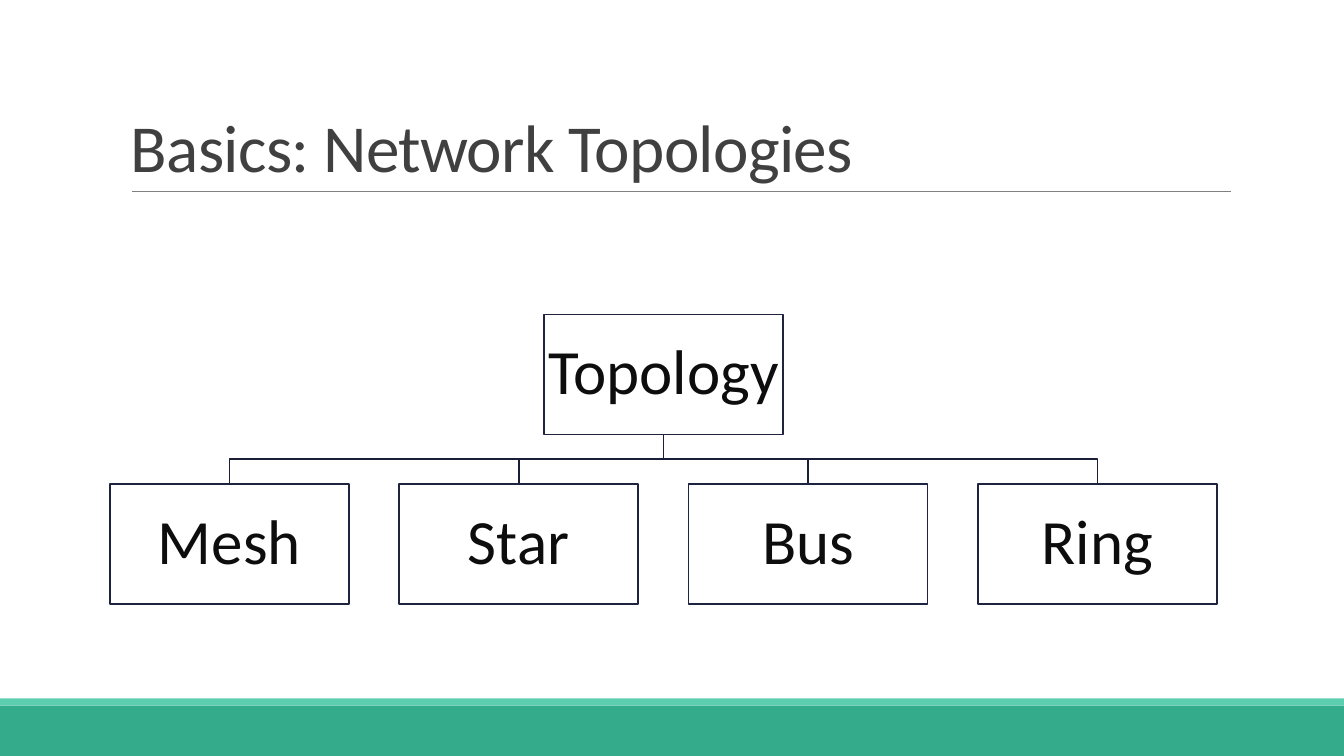
from pptx import Presentation
from pptx.dml.color import RGBColor
from pptx.enum.shapes import MSO_CONNECTOR, MSO_SHAPE
from pptx.enum.text import MSO_ANCHOR, PP_ALIGN
from pptx.util import Inches, Pt
from lxml.etree import SubElement
from pptx.oxml.ns import qn

TITLE = "Basics: Network Topologies"
ROOT = "Topology"
CHILDREN = ["Mesh", "Star", "Bus", "Ring"]

FONT = "Calibri"
COLORS = {
    "band": "34AC8B", "stripe": "5DCEAF", "rule": "808080", "title": "404040",
    "branch": "1A1F37", "border": "1E233F", "box": "FFFFFF", "label": "0D0D0D",
}
SLIDE_WIDTH, SLIDE_HEIGHT = 13.33, 7.5
BOX_WIDTH, BOX_HEIGHT = 2.37, 1.19
CHILD_LEFT, CHILD_PITCH = 1.09, 2.87
ROOT_TOP, CHILD_TOP = 3.12, 4.8


def color(name):
    return RGBColor.from_string(COLORS[name])


def add_rectangle(slide, left, top, width, height, fill):
    shape = slide.shapes.add_shape(
        MSO_SHAPE.RECTANGLE, Inches(left), Inches(top), Inches(width), Inches(height))
    shape.shadow.inherit = False
    shape.fill.solid()
    shape.fill.fore_color.rgb = color(fill)
    shape.line.fill.background()
    return shape


def write_text(paragraph, text, size, color_name, line_spacing):
    paragraph.line_spacing = line_spacing
    run = paragraph.add_run()
    run.text = text
    run.font.name = FONT
    run.font.size = Pt(size)
    run.font.color.rgb = color(color_name)
    return run


def add_box(slide, label, left, top):
    box = add_rectangle(slide, left, top, BOX_WIDTH, BOX_HEIGHT, "box")
    box.line.color.rgb = color("border")
    box.line.width = Pt(1.25)
    frame = box.text_frame
    frame.word_wrap = True
    frame.vertical_anchor = MSO_ANCHOR.MIDDLE
    frame.margin_left = frame.margin_right = Inches(0.03)
    frame.margin_top = frame.margin_bottom = Inches(0.03)
    paragraph = frame.paragraphs[0]
    paragraph.alignment = PP_ALIGN.CENTER
    write_text(paragraph, label, 45, "label", 0.9)


def add_branch(slide, root_x, child_x):
    """Draw the stepped line from under the root to the top of a child."""
    start_y = ROOT_TOP + BOX_HEIGHT
    middle_y = (start_y + CHILD_TOP) / 2
    builder = slide.shapes.build_freeform(Inches(root_x), Inches(start_y))
    corners = [(root_x, middle_y), (child_x, middle_y), (child_x, CHILD_TOP)]
    builder.add_line_segments([(Inches(x), Inches(y)) for x, y in corners], close=False)
    branch = builder.convert_to_shape()
    branch.shadow.inherit = False
    branch.fill.background()
    branch.line.color.rgb = color("branch")
    branch.line.width = Pt(1.25)


def add_title(slide):
    title = slide.shapes.add_textbox(Inches(1.2), Inches(0.31), Inches(11), Inches(1.59))
    frame = title.text_frame
    frame.word_wrap = True
    frame.vertical_anchor = MSO_ANCHOR.BOTTOM
    run = write_text(frame.paragraphs[0], TITLE, 48, "title", 0.85)
    run.font._element.set("spc", "-50")

    rule = slide.shapes.add_connector(
        MSO_CONNECTOR.STRAIGHT, Inches(1.31), Inches(1.9), Inches(12.21), Inches(1.9))
    rule.line.color.rgb = color("rule")
    rule.line.width = Pt(0.5)
    SubElement(rule._element.spPr, qn("a:effectLst"))


def add_tree(slide):
    lefts = [CHILD_LEFT + index * CHILD_PITCH for index in range(len(CHILDREN))]
    root_left = (lefts[0] + lefts[-1]) / 2
    for left in lefts:
        add_branch(slide, root_left + BOX_WIDTH / 2, left + BOX_WIDTH / 2)
    add_box(slide, ROOT, root_left, ROOT_TOP)
    for label, left in zip(CHILDREN, lefts):
        add_box(slide, label, left, CHILD_TOP)


def main():
    presentation = Presentation()
    presentation.slide_width = Inches(SLIDE_WIDTH)
    presentation.slide_height = Inches(SLIDE_HEIGHT)
    slide = presentation.slides.add_slide(presentation.slide_layouts[6])
    add_rectangle(slide, 0, 7, SLIDE_WIDTH, 0.5, "band")
    add_rectangle(slide, 0, 6.93, SLIDE_WIDTH, 0.07, "stripe")
    add_title(slide)
    add_tree(slide)
    presentation.save("out.pptx")


if __name__ == "__main__":
    main()
